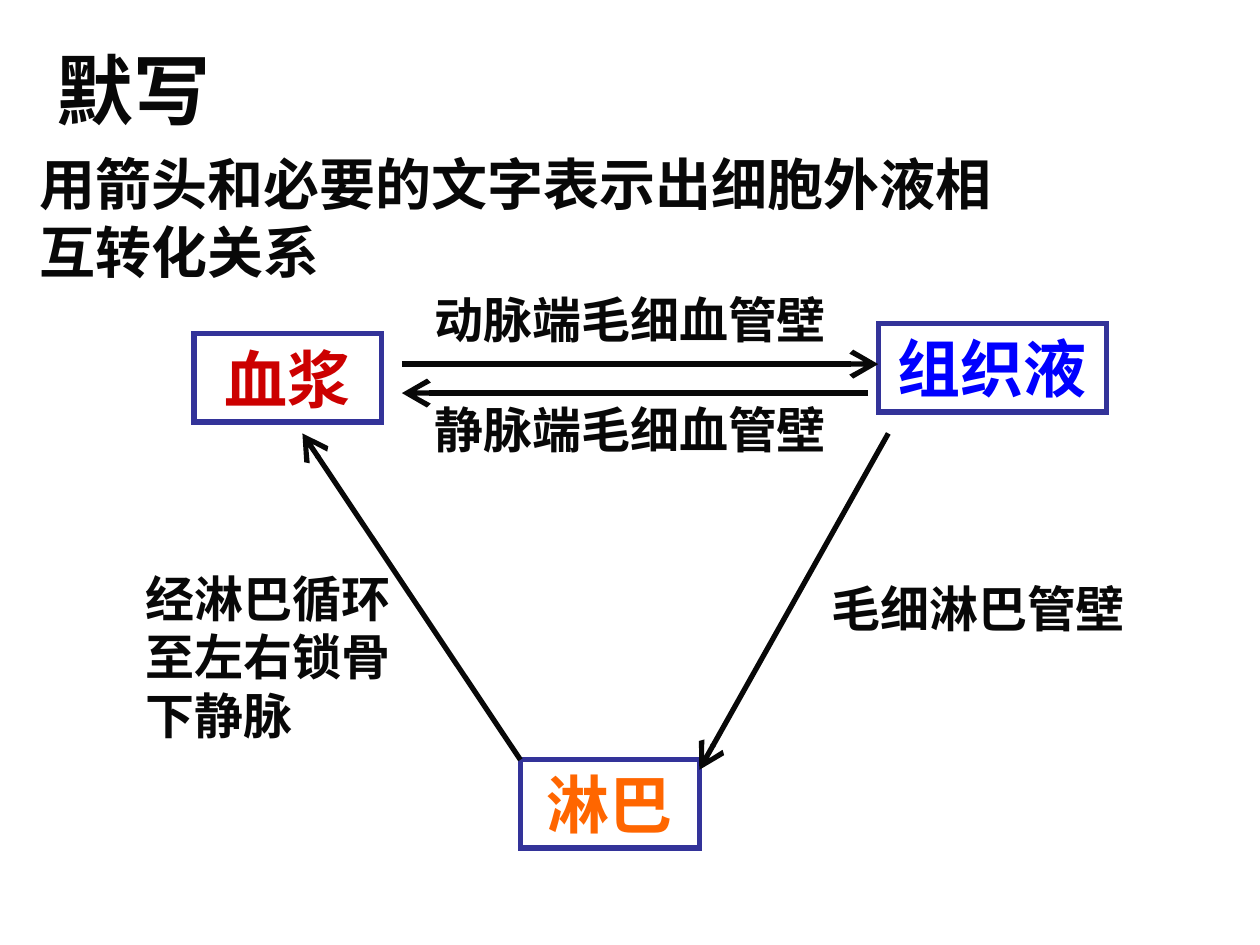
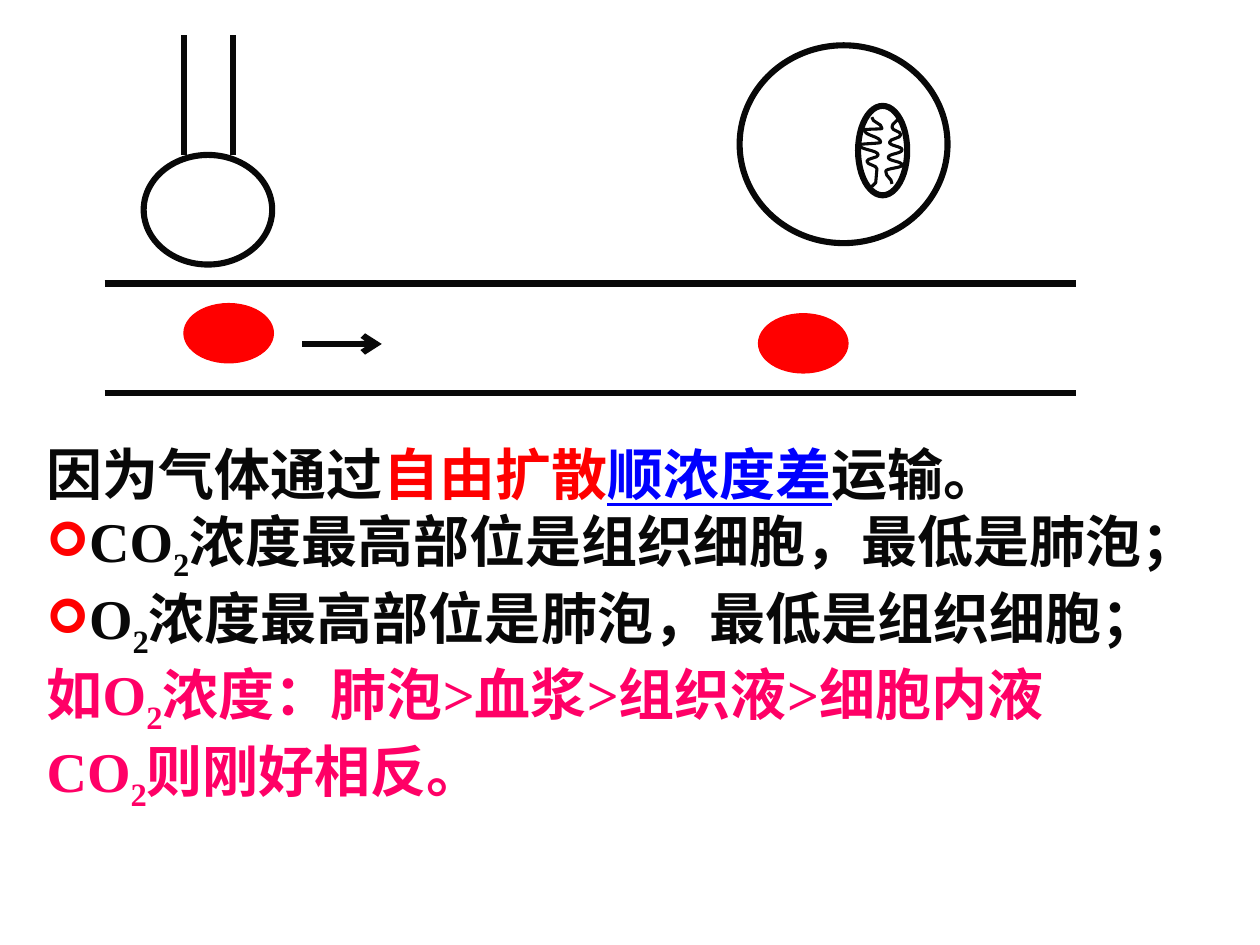
import pptx
import pptx.util
import pptx.dml.color
import pptx.enum.shapes
import pptx.enum.text
import pptx.oxml
import pptx.oxml.ns

Inches = pptx.util.Inches
Pt = pptx.util.Pt
RGBColor = pptx.dml.color.RGBColor
Shape = pptx.enum.shapes.MSO_SHAPE
Align = pptx.enum.text.PP_ALIGN

INK = RGBColor(0x08, 0x08, 0x08)
FRAME = RGBColor(0x33, 0x33, 0x99)
PLASMA = RGBColor(0xCC, 0x00, 0x00)
BLUE = RGBColor(0x00, 0x00, 0xFF)
ORANGE = RGBColor(0xFF, 0x66, 0x00)
RED = RGBColor(0xFF, 0x00, 0x00)
PINK = RGBColor(0xFF, 0x00, 0x66)
SERIF = "Times New Roman"
DRAWING = pptx.oxml.ns.nsdecls("a")


def add_text(box, text, size=32, color=INK, font=SERIF, align=Align.LEFT,
             underline=False, subscript=False, bullet=False, new_para=False):
    frame = box.text_frame
    frame.word_wrap = True
    frame.auto_size = pptx.enum.text.MSO_AUTO_SIZE.NONE
    frame.vertical_anchor = pptx.enum.text.MSO_ANCHOR.TOP
    para = frame.add_paragraph() if new_para else frame.paragraphs[-1]
    if not para.runs:
        para.alignment = align
        para.space_before = Pt(0)
        properties = para._p.get_or_add_pPr()
        properties.set("marL", "0")
        properties.set("indent", "0")
        marks = ["<a:buNone {}/>"]
        if bullet:
            marks = [f'<a:buClr {{}}><a:srgbClr val="{RED}"/></a:buClr>',
                     '<a:buSzPct {} val="85000"/>',
                     '<a:buFont {} typeface="Wingdings" charset="2"/>',
                     '<a:buChar {} char="➢"/>']
        for mark in marks:
            properties.append(pptx.oxml.parse_xml(mark.format(DRAWING)))
    span = para.add_run()
    span.text = text
    span.font.name = font
    span.font.size = Pt(size)
    span.font.bold = True
    span.font.color.rgb = color
    if underline:
        span.font.underline = True
    if subscript:
        span.font._element.set("baseline", "-25000")


def add_line(page, x1, y1, x2, y2, width, head=None):
    line = page.shapes.add_connector(
        pptx.enum.shapes.MSO_CONNECTOR.STRAIGHT,
        Inches(x1), Inches(y1), Inches(x2), Inches(y2))
    line.line.color.rgb = INK
    line.line.width = Pt(width)
    if head:
        line.line._get_or_add_ln().append(pptx.oxml.parse_xml(
            f'<a:tailEnd {DRAWING} type="arrow" w="{head}" len="{head}"/>'))
    line._element.spPr.append(pptx.oxml.parse_xml(f"<a:effectLst {DRAWING}/>"))


deck = pptx.Presentation()
deck.slide_width = Inches(10)
deck.slide_height = Inches(7.5)
layout = deck.slide_layouts[1]

page = deck.slides.add_slide(layout)
title = page.shapes.title
title.left, title.top, title.width, title.height = map(Inches, (0.35, 0.29, 1.65, 0.84))
add_text(title, "默写", size=44, font="Arial")
task = page.placeholders[1]
task.left, task.top, task.width, task.height = map(Inches, (0.21, 1.14, 7.93, 1.17))
add_text(task, "用箭头和必要的文字表示出细胞外液相互转化关系")

for fluid, left, top, width, color in [
    ("血浆", 1.54, 2.65, 1.49, PLASMA),
    ("组织液", 6.97, 2.57, 1.81, BLUE),
    ("淋巴", 4.13, 6.03, 1.42, ORANGE),
]:
    box = page.shapes.add_shape(
        Shape.RECTANGLE, Inches(left), Inches(top), Inches(width), Inches(0.7))
    box.shadow.inherit = False
    box.fill.background()
    box.line.color.rgb = FRAME
    box.line.width = Pt(3)
    box.line._get_or_add_ln().append(
        pptx.oxml.parse_xml(f'<a:miter {DRAWING} lim="800000"/>'))
    add_text(box, fluid, size=36, color=color, align=Align.CENTER)

for ends in [
    (3.19, 2.89, 6.97, 2.89),
    (6.89, 3.12, 3.19, 3.12),
    (4.13, 6.03, 2.4, 3.44),
    (7.05, 3.44, 5.55, 6.11),
]:
    add_line(page, *ends, width=3, head="lg")

for route, left, top, width, height in [
    ("动脉端毛细血管壁", 3.35, 2.25, 4.41, 0.57),
    ("静脉端毛细血管壁", 3.35, 3.12, 4.49, 0.57),
    ("经淋巴循环至左右锁骨下静脉", 1.06, 4.46, 2.36, 1.5),
    ("毛细淋巴管壁", 6.5, 4.54, 3.07, 0.57),
]:
    label = page.shapes.add_textbox(
        Inches(left), Inches(top), Inches(width), Inches(height))
    add_text(label, route, size=28)

page = deck.slides.add_slide(layout)
empty_title = page.shapes.title.element
empty_title.getparent().remove(empty_title)
body = page.placeholders[1]
body.left, body.top, body.width, body.height = map(Inches, (0.27, 3.44, 9.73, 3.06))
add_text(body, "因为气体通过")
add_text(body, "自由扩散", color=RED)
add_text(body, "顺浓度差", color=BLUE, underline=True)
add_text(body, "运输。")
for gas, statement, color, bullet in [
    ("CO", "浓度最高部位是组织细胞，最低是肺泡；", INK, True),
    ("O", "浓度最高部位是肺泡，最低是组织细胞；", INK, True),
    ("如O", "浓度：肺泡>血浆>组织液>细胞内液", PINK, False),
    ("CO", "则刚好相反。", PINK, False),
]:
    add_text(body, gas, color=color, bullet=bullet, new_para=True)
    add_text(body, "2", color=color, subscript=True)
    add_text(body, statement, color=color)

for airway_x in (1.46, 1.85):
    add_line(page, airway_x, 0.28, airway_x, 1.23, width=3.5)
for vessel_y in (2.25, 3.12):
    add_line(page, 0.83, vessel_y, 8.54, vessel_y, width=3.5)
add_line(page, 2.4, 2.73, 3.03, 2.73, width=3.5, head="med")

alveolus = (1.14, 1.23, 1.02, 0.87)
tissue_cell = (5.87, 0.36, 1.65, 1.57)
mitochondrion = (6.81, 0.84, 0.39, 0.71)
red_cells = [(1.46, 2.41, 0.71, 0.47), (6.02, 2.49, 0.71, 0.47)]
for place in [alveolus, *red_cells, tissue_cell, mitochondrion]:
    oval = page.shapes.add_shape(Shape.OVAL, *map(Inches, place))
    oval.shadow.inherit = False
    if place in red_cells:
        oval.fill.solid()
        oval.fill.fore_color.rgb = RED
        oval.line.color.rgb = RED
        oval.line.width = Pt(0.75)
    else:
        oval.fill.background()
        oval.line.color.rgb = INK
        oval.line.width = Pt(3.5)

left_fold = [(6.92, 0.93), (7, 1.02), (6.86, 1.03), (6.99, 1.13), (6.82, 1.15),
             (6.97, 1.23), (6.88, 1.28), (6.96, 1.34), (6.95, 1.45), (6.92, 1.48)]
right_fold = [(7.13, 0.93), (7.08, 1.01), (7.15, 1.07), (7.06, 1.13), (7.16, 1.19),
              (7.05, 1.25), (7.16, 1.31), (7.03, 1.36), (7.08, 1.46)]
for turns in (left_fold, right_fold):
    builder = page.shapes.build_freeform(*map(Inches, turns[0]))
    builder.add_line_segments(
        [(Inches(x), Inches(y)) for x, y in turns[1:]], close=False)
    fold = builder.convert_to_shape()
    fold.shadow.inherit = False
    fold.fill.background()
    fold.line.color.rgb = INK
    fold.line.width = Pt(1.75)
    corners = [(int(point.get("x")), int(point.get("y")))
               for point in fold._element.xpath(".//a:path//a:pt")]
    segments = fold._element.xpath(".//a:path/a:lnTo")
    for segment, (x1, y1), (x2, y2) in zip(segments, corners, corners[1:]):
        middle = (y1 + y2) // 2
        segment.getparent().replace(segment, pptx.oxml.parse_xml(
            f'<a:cubicBezTo {DRAWING}><a:pt x="{x1}" y="{middle}"/>'
            f'<a:pt x="{x2}" y="{middle}"/><a:pt x="{x2}" y="{y2}"/></a:cubicBezTo>'))

deck.save("out.pptx")
